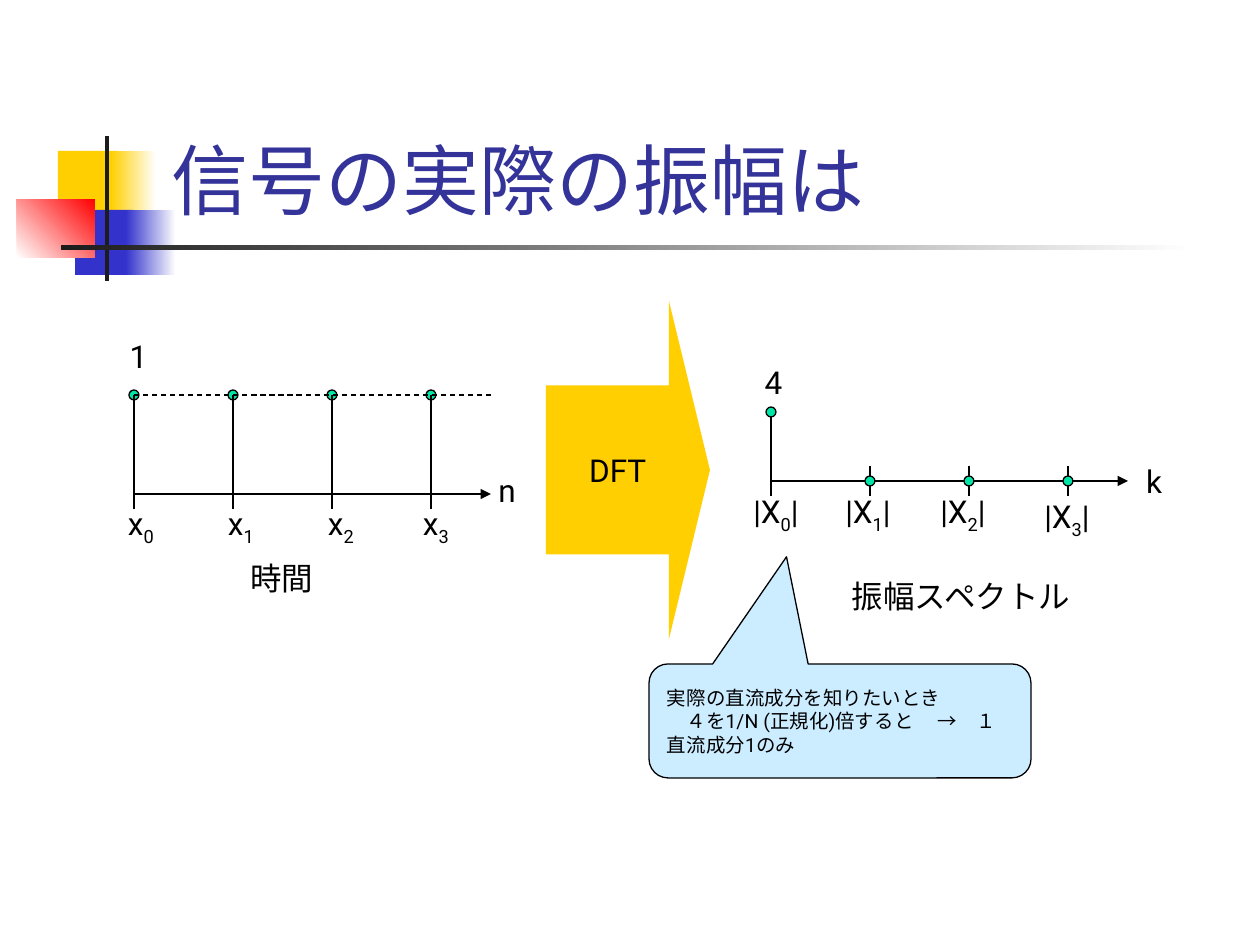
from lxml.etree import SubElement
from pptx import Presentation
from pptx.dml.color import RGBColor
from pptx.enum.dml import MSO_LINE
from pptx.enum.shapes import MSO_CONNECTOR, MSO_SHAPE
from pptx.enum.text import MSO_ANCHOR, PP_ALIGN
from pptx.oxml.ns import qn
from pptx.util import Pt

PX = 914400 / 126
FONT = "Roboto"
COLORS = {
    "yellow": "FFCF01", "blue": "3333CC", "red": "FF0000", "white": "FFFFFF",
    "dark": "1C1C1C", "title": "333399", "black": "000000",
    "dot": "00E4A8", "callout": "CCECFF",
}
STEP = 99  # distance between samples
DOT = 10


def px(*lengths):
    return [round(n * PX) for n in lengths]


def rgb(name):
    return RGBColor.from_string(COLORS[name])


def add_shape(s, kind, box, fill, outline=False):
    sp = s.shapes.add_shape(kind, *px(*box))
    sp.shadow.inherit = False
    sp.fill.solid()
    sp.fill.fore_color.rgb = rgb(fill)
    if outline:
        sp.line.color.rgb = rgb("black")
        sp.line.width = Pt(0.75)
    else:
        sp.line.fill.background()
    return sp


def add_fade(s, box, start, end, angle=0):
    """Rectangle with a two-colour gradient; angle runs counter-clockwise."""
    sp = add_shape(s, MSO_SHAPE.RECTANGLE, box, start)
    sp.fill.gradient()
    sp.fill.gradient_angle = angle
    for stop, name in zip(sp.fill.gradient_stops, (start, end)):
        stop.color.rgb = rgb(name)


def add_line(s, x1, y1, x2, y2, arrow=False, dashed=False):
    line = s.shapes.add_connector(MSO_CONNECTOR.STRAIGHT, *px(x1, y1, x2, y2))
    line.line.color.rgb = rgb("black")
    line.line.width = Pt(0.75)
    if dashed:
        line.line.dash_style = MSO_LINE.DASH
    if arrow:
        ln = line.line._get_or_add_ln()
        SubElement(ln, qn("a:tailEnd"), type="triangle")
    SubElement(line._element.spPr, qn("a:effectLst"))


def add_dot(s, x, y):
    box = (x - DOT // 2, y - DOT // 2, DOT, DOT)
    add_shape(s, MSO_SHAPE.OVAL, box, "dot", outline=True)


def style_run(r, size, color="black"):
    r.font.size = Pt(size)
    r.font.name = FONT
    r.font.color.rgb = rgb(color)


def write(sp, lines, size, align, anchor, color="black", wrap=False):
    tf = sp.text_frame
    tf.text = "\n".join(lines)
    tf.word_wrap = wrap
    tf.vertical_anchor = anchor
    for p in tf.paragraphs:
        p.alignment = align
        for r in p.runs:
            style_run(r, size, color)


def add_label(s, x, y, w, text, sub="", end=""):
    """Centred label, with an optional subscript and closing text."""
    sp = s.shapes.add_textbox(*px(x, y, w, 55 if sub else 50))
    write(sp, [text], 18, PP_ALIGN.CENTER, MSO_ANCHOR.TOP)
    for part in filter(None, (sub, end)):
        r = sp.text_frame.paragraphs[0].add_run()
        r.text = part
        style_run(r, 18)
        if part == sub:
            r._r.get_or_add_rPr().set("baseline", "-25000")


def add_axis(s, x, y):
    """Arrowed axis with four ticks; returns the tick positions."""
    ticks = [x + i * STEP for i in range(4)]
    add_line(s, x, y, x + 357, y, arrow=True)
    for tick in ticks:
        add_line(s, tick, y - 15, tick, y + 15)
    return ticks


def add_header(s):
    add_shape(s, MSO_SHAPE.RECTANGLE, (58, 151, 60, 65), "yellow")
    add_fade(s, (111, 151, 45, 65), "yellow", "white")
    add_shape(s, MSO_SHAPE.RECTANGLE, (75, 210, 58, 65), "blue")
    add_fade(s, (126, 210, 50, 65), "blue", "white")
    add_fade(s, (17, 199, 78, 59), "white", "red", 45)
    add_shape(s, MSO_SHAPE.RECTANGLE, (105, 136, 4, 145), "dark")
    add_fade(s, (61, 245, 1134, 5), "dark", "white")
    title = s.shapes.add_textbox(*px(159, 29, 1074, 202))
    write(title, ["信号の実際の振幅は"], 44, PP_ALIGN.LEFT,
          MSO_ANCHOR.BOTTOM, "title", wrap=True)


def add_time_plot(s):
    top, base = 395, 494
    ticks = add_axis(s, 134, base)
    for x in ticks:
        add_dot(s, x, top)
        add_line(s, x, top, x, base)
    add_line(s, ticks[0], top, 491, top, dashed=True)
    for i, x in enumerate((115, 215, 315, 410)):
        add_label(s, x, 498, 52, "x", str(i))
    add_label(s, 117, 331, 43, "1")
    add_label(s, 485, 465, 44, "n")
    add_label(s, 238, 553, 88, "時間")


def add_spectrum_plot(s):
    top, base = 412, 481
    ticks = add_axis(s, 771, base)
    add_line(s, ticks[0], top, ticks[0], base)
    for x, y in zip(ticks, (top, base, base, base)):
        add_dot(s, x, y)
    for i, (x, y) in enumerate(((732, 486), (824, 486), (919, 486), (1023, 491))):
        add_label(s, x, y, 88, "|X", str(i), "|")
    add_label(s, 752, 357, 43, "4")
    add_label(s, 1133, 456, 42, "k")
    add_label(s, 838, 571, 246, "振幅スペクトル")


def add_transform_arrow(s):
    sp = add_shape(s, MSO_SHAPE.RIGHT_ARROW, (546, 301, 164, 338), "yellow")
    sp.adjustments[0], sp.adjustments[1] = 0.5, 0.25
    write(sp, ["DFT"], 18, PP_ALIGN.CENTER, MSO_ANCHOR.MIDDLE)


def add_callout(s):
    sp = add_shape(s, MSO_SHAPE.ROUNDED_RECTANGULAR_CALLOUT,
                   (649, 664, 382, 114), "callout", outline=True)
    sp.adjustments[0], sp.adjustments[1] = -0.14, -1.44
    lines = ["実際の直流成分を知りたいとき",
             "　４を1/N (正規化)倍すると　 →　１",
             "直流成分1のみ"]
    write(sp, lines, 11.1, PP_ALIGN.LEFT, MSO_ANCHOR.MIDDLE, wrap=True)


def main():
    prs = Presentation()
    prs.slide_width, prs.slide_height = px(1260, 945)
    s = prs.slides.add_slide(prs.slide_layouts[6])
    add_header(s)
    add_time_plot(s)
    add_transform_arrow(s)
    add_callout(s)
    add_spectrum_plot(s)
    prs.save("out.pptx")


if __name__ == "__main__":
    main()
